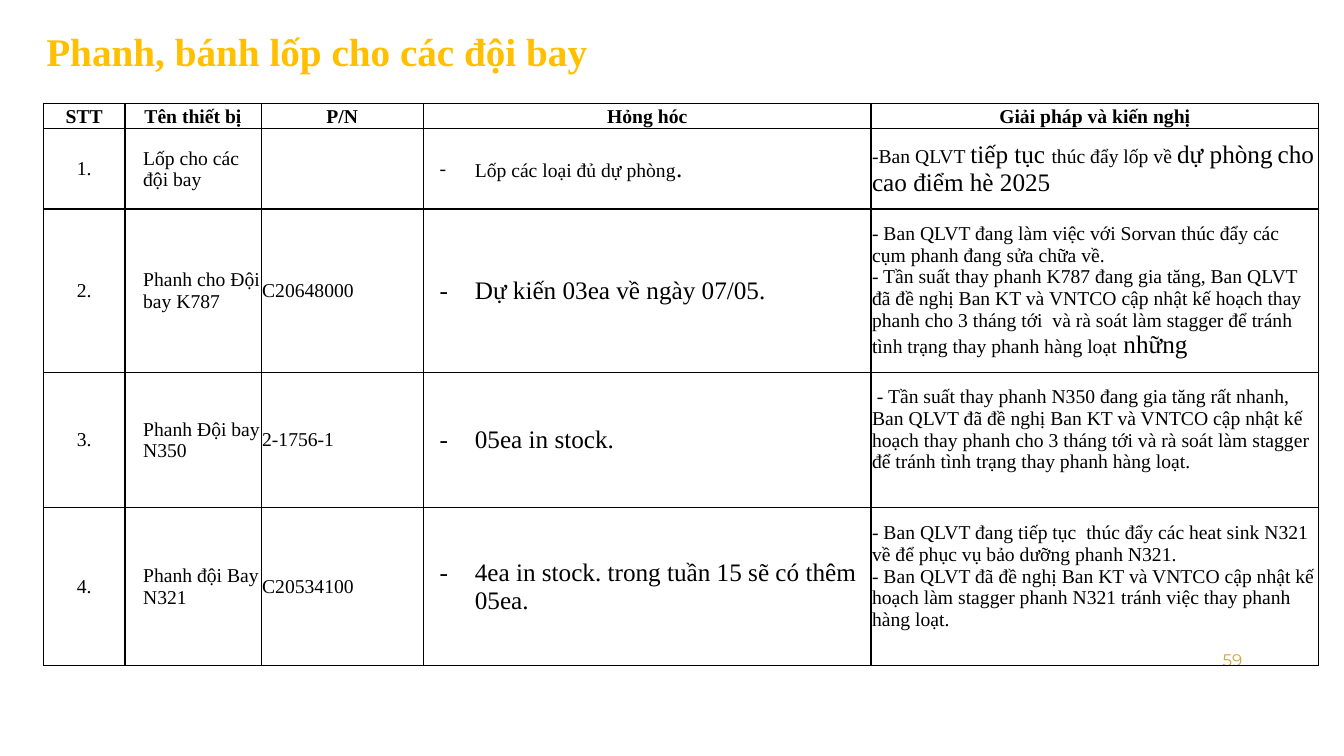
from lxml.etree import SubElement
from pptx import Presentation
from pptx.dml.color import RGBColor
from pptx.enum.text import MSO_ANCHOR as ANCHOR, MSO_AUTO_SIZE as AUTO, PP_ALIGN as ALIGN
from pptx.oxml.ns import qn
from pptx.util import Inches, Pt

COLORS = {"title": "FFC000", "number": "D2A43B", "ink": "000000"}
SERIF = "Times New Roman"
BORDER = Pt(1)

COLS = [0.81, 1.35, 1.61, 4.44, 4.44]
ROWS = [0.24, 0.24, 0.8, 1.62, 1.34, 1.57]
HEADERS = ["STT", "Tên thiết bị", "P/N", "Hỏng hóc", "Giải pháp và kiến nghị"]

# Each row: device, part number, fault runs, solution paragraphs, bottom margin.
# A run is (text, size).
DEVICES = [
    ("Lốp cho các đội bay", "",
     [("Lốp các loại đủ dự phòng", 14), (".", 18)],
     [[("-Ban QLVT ", 14), ("tiếp tục ", 18), ("thúc đẩy lốp về ", 14),
       ("dự phòng", 18), (" ", 14), ("cho cao điểm hè 2025", 18)]], 0),
    ("Phanh cho Đội bay K787", "C20648000",
     [("Dự kiến 03ea về ngày 07/05.", 18)],
     [[("- Ban QLVT đang làm việc với Sorvan thúc đẩy các cụm phanh đang sửa chữa về.", 14)],
      [("- Tần suất thay phanh K787 đang gia tăng, Ban QLVT đã đề nghị Ban KT và VNTCO "
        "cập nhật kế hoạch thay phanh cho 3 tháng tới  và rà soát làm stagger để tránh "
        "tình trạng thay phanh hàng loạt", 14), (" những", 18)]], 0),
    ("Phanh Đội bay N350", "2-1756-1",
     [("05ea in stock.", 18)],
     [[(" - Tần suất thay phanh N350 đang gia tăng rất nhanh, Ban QLVT đã đề nghị Ban KT "
        "và VNTCO cập nhật kế hoạch thay phanh cho 3 tháng tới và rà soát làm stagger để "
        "tránh tình trạng thay phanh hàng loạt.", 14)]], 0.21),
    ("Phanh đội Bay N321", "C20534100",
     [("4ea in stock. trong tuần 15 sẽ có thêm 05ea.", 18)],
     [[("- Ban QLVT đang tiếp tục  thúc đẩy các heat sink N321 về để phục vụ bảo dưỡng "
        "phanh N321.", 14)],
      [("- Ban QLVT đã đề nghị Ban KT và VNTCO cập nhật kế hoạch làm stagger phanh N321 "
        "tránh việc thay phanh hàng loạt.", 14)]], 0.21),
]


def add_text(p, text, size=14, font=SERIF, color="ink", bold=False):
    r = p.add_run()
    r.text = text
    r.font.size, r.font.name, r.font.bold = Pt(size), font, bold
    r.font.color.rgb = RGBColor.from_string(COLORS[color])


def set_indent(p, left, first=0, bullet=None):
    pPr = p._p.get_or_add_pPr()
    pPr.set("marL", str(Inches(left)))
    pPr.set("indent", str(Inches(first)))
    if bullet:
        SubElement(pPr, qn("a:buFont")).set("typeface", SERIF)
        SubElement(pPr, qn("a:buChar")).set("char", bullet)


def set_borders(cell, sides):
    tcPr = cell._tc.get_or_add_tcPr()
    for side in "LRTB":
        ln = SubElement(tcPr, qn(f"a:ln{side}"), w=str(BORDER))
        if side in sides:
            fill = SubElement(ln, qn("a:solidFill"))
            SubElement(fill, qn("a:srgbClr")).set("val", COLORS["ink"])
        else:
            SubElement(ln, qn("a:noFill"))


def format_cell(cell, sides="LRTB"):
    set_borders(cell, sides)
    cell.fill.background()
    cell.vertical_anchor = ANCHOR.MIDDLE
    cell.margin_left = cell.margin_right = cell.margin_top = Inches(0.01)
    cell.margin_bottom = 0


def fill_cell(cell, paragraphs, align=ALIGN.LEFT, bold=False, indent=None):
    tf = cell.text_frame
    for i, runs in enumerate(paragraphs):
        p = tf.add_paragraph() if i else tf.paragraphs[0]
        p.alignment = align
        if indent:
            set_indent(p, *indent)
        for text, size in runs:
            add_text(p, text, size=size, bold=bold)


def add_title(s, text):
    title = s.shapes.title
    title.left, title.top = Inches(0.3), Inches(0.14)
    title.width, title.height = Inches(11.66), Inches(0.78)
    tf = title.text_frame
    tf.auto_size, tf.word_wrap, tf.vertical_anchor = AUTO.NONE, True, ANCHOR.MIDDLE
    p = tf.paragraphs[0]
    p.alignment, p.line_spacing = ALIGN.LEFT, 0.9
    set_indent(p, 0.06)
    add_text(p, text, size=28, color="title", bold=True)


def add_page_number(s, text):
    box = s.shapes.add_textbox(Inches(9.42), Inches(6.35), Inches(3), Inches(0.4))
    tf = box.text_frame
    tf.word_wrap, tf.vertical_anchor = True, ANCHOR.MIDDLE
    p = tf.paragraphs[0]
    p.alignment = ALIGN.RIGHT
    add_text(p, text, size=12, font="Montserrat", color="number")


def add_device_table(s):
    table = s.shapes.add_table(len(ROWS), len(COLS), Inches(0.43), Inches(0.79),
                               Inches(sum(COLS)), Inches(sum(ROWS))).table
    table.first_row = table.horz_banding = False
    for col, width in zip(table.columns, COLS):
        col.width = Inches(width)
    for i, (row, height) in enumerate(zip(table.rows, ROWS)):
        row.height = Inches(height)
        for cell in row.cells:
            format_cell(cell, "LRTB" if i else "B")

    # Open strip above the header
    for cell in table.rows[0].cells:
        end = SubElement(cell.text_frame.paragraphs[0]._p, qn("a:endParaRPr"))
        end.set("sz", "1000")
    table.cell(0, 0).merge(table.cell(0, len(COLS) - 1))

    # Header
    for cell, text in zip(table.rows[1].cells, HEADERS):
        fill_cell(cell, [[(text, 14)]], align=ALIGN.CENTER, bold=True)

    # Devices
    for n, (name, part, fault, solution, bottom) in enumerate(DEVICES, 1):
        number_c, name_c, part_c, fault_c, solution_c = table.rows[n + 1].cells
        fill_cell(number_c, [[(f"{n}.", 14)]], align=ALIGN.CENTER)
        fill_cell(name_c, [[(name, 14)]], indent=(0.17,))
        if part:
            fill_cell(part_c, [[(part, 14)]])
        fill_cell(fault_c, [fault], indent=(0.5, -0.35, "-"))
        fill_cell(solution_c, solution)
        solution_c.margin_bottom = Inches(bottom)


def main():
    prs = Presentation()
    prs.slide_width, prs.slide_height = Inches(13.33), Inches(7.5)
    s = prs.slides.add_slide(prs.slide_layouts[5])
    add_title(s, "Phanh, bánh lốp cho các đội bay")
    add_page_number(s, "59")
    add_device_table(s)
    prs.save("out.pptx")


if __name__ == "__main__":
    main()
